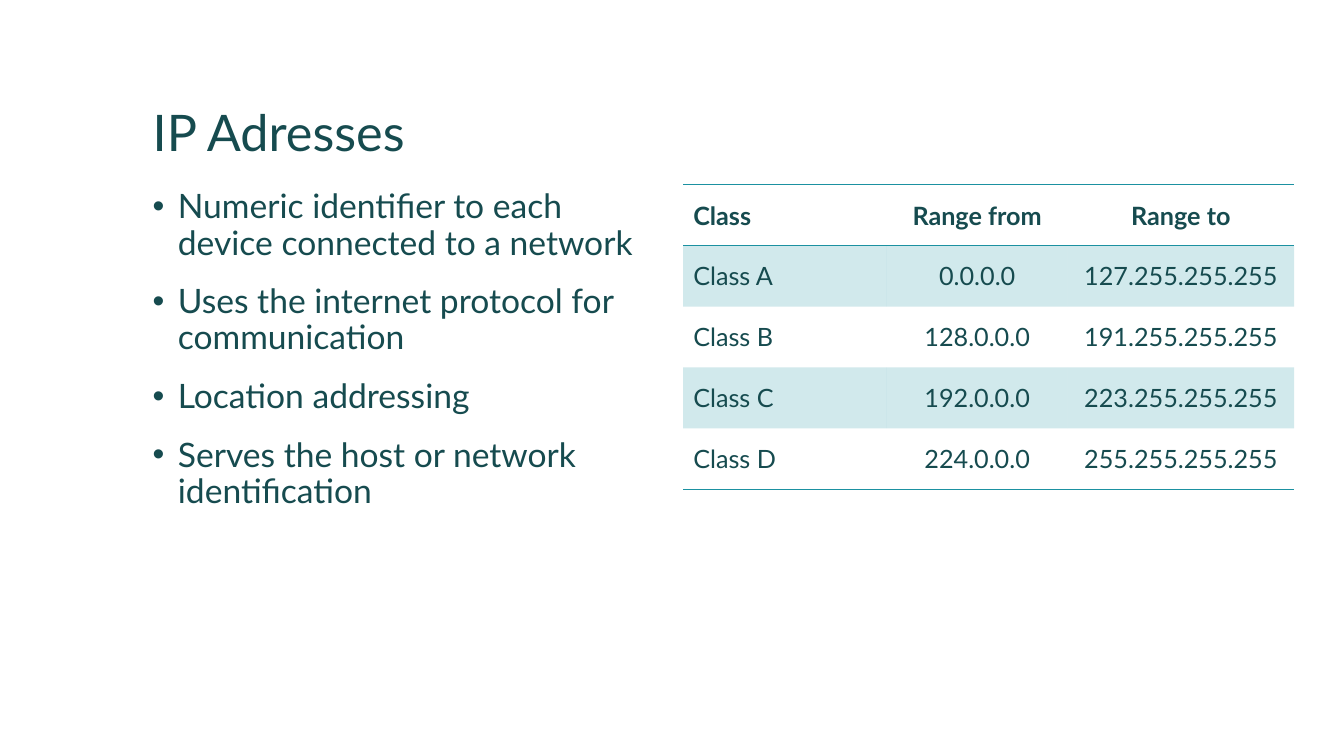
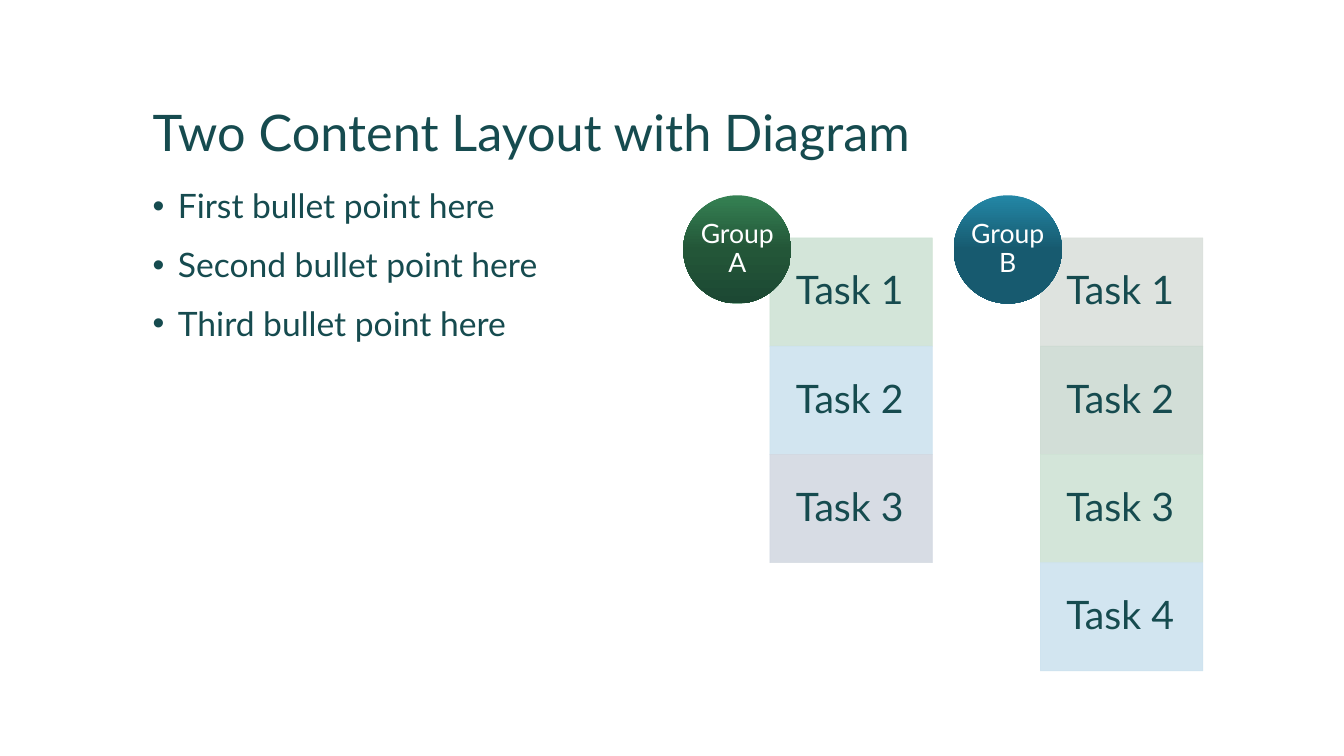
"""Builds two slides: IP address classes and two groups of tasks."""
from copy import deepcopy

from lxml.etree import SubElement
from pptx import Presentation
from pptx.dml.color import RGBColor
from pptx.enum.shapes import MSO_SHAPE as Shape
from pptx.enum.text import MSO_ANCHOR as Anchor, PP_ALIGN as Align
from pptx.oxml.ns import qn
from pptx.util import Pt

FONT = "Lato"
INK = RGBColor(0x16, 0x4B, 0x4F)
TEAL = RGBColor(0x1B, 0x91, 0xA1)
WHITE = RGBColor(0xFF, 0xFF, 0xFF)
MINT = RGBColor(0xCF, 0xE3, 0xD5)
SKY = RGBColor(0xCE, 0xE3, 0xEF)
LAVENDER = RGBColor(0xD3, 0xD9, 0xE2)
MIST = RGBColor(0xDB, 0xE1, 0xDC)
SAGE = RGBColor(0xCE, 0xDB, 0xD3)
GREENS = [RGBColor(0x35, 0x81, 0x53), RGBColor(0x23, 0x56, 0x38), RGBColor(0x1C, 0x48, 0x33)]
BLUES = [RGBColor(0x23, 0x87, 0xA6), RGBColor(0x17, 0x5A, 0x6F), RGBColor(0x17, 0x5A, 0x6F)]
NO_STYLE = "{2D5ABB26-0587-4C30-8999-92F81FD0307C}"


def write(frame, lines, size, color=INK, align=Align.LEFT, spacing=0.9):
    """Fill a text frame with one paragraph per line."""
    frame.word_wrap = True
    frame.text = "\n".join(lines)
    for paragraph in frame.paragraphs:
        paragraph.alignment = align
        paragraph.line_spacing = spacing
        paragraph.font.name = FONT
        paragraph.font.size = Pt(size)
        paragraph.font.color.rgb = color


def set_opacity(properties, percent):
    """Make every colour of a shape or cell partly transparent."""
    for color in properties.iter(qn("a:srgbClr")):
        SubElement(color, qn("a:alpha"), val=str(percent * 1000))


deck = Presentation()
deck.slide_width, deck.slide_height = Pt(960), Pt(540)

contents = {
    "IP Adresses": [
        "Numeric identifier to each device connected to a network",
        "Uses the internet protocol for communication",
        "Location addressing",
        "Serves the host or network identification",
    ],
    "Two Content Layout with Diagram": [
        "First bullet point here",
        "Second bullet point here",
        "Third bullet point here",
    ],
}
for heading, points in contents.items():
    slide = deck.slides.add_slide(deck.slide_layouts[6])
    title = slide.shapes.add_textbox(Pt(102), Pt(29.5), Pt(756), Pt(90)).text_frame
    title.vertical_anchor = Anchor.BOTTOM
    write(title, [heading], 36)
    body = slide.shapes.add_textbox(Pt(102), Pt(132), Pt(370), Pt(354)).text_frame
    write(body, points, 24)
    for paragraph in body.paragraphs:
        paragraph.space_before = Pt(16)
        bullet = paragraph._p.get_or_add_pPr()
        bullet.set("marL", str(Pt(18)))
        bullet.set("indent", str(-Pt(18)))
        SubElement(bullet, qn("a:buFont"), typeface="Arial")
        SubElement(bullet, qn("a:buChar"), char="•")

address_slide, task_slide = deck.slides

address_rows = [
    ("Class", "Range from", "Range to"),
    ("Class A", "0.0.0.0", "127.255.255.255"),
    ("Class B", "128.0.0.0", "191.255.255.255"),
    ("Class C", "192.0.0.0", "223.255.255.255"),
    ("Class D", "224.0.0.0", "255.255.255.255"),
]
ruled_edges = {0: ("a:lnT", "a:lnB"), len(address_rows) - 1: ("a:lnB",)}
classes = address_slide.shapes.add_table(
    len(address_rows), 3, Pt(488), Pt(132), Pt(436.5), Pt(217.5)).table
classes._tbl.tblPr.find(qn("a:tableStyleId")).text = NO_STYLE
classes.horz_banding = False
for column, width in zip(classes.columns, (145.5, 129, 162)):
    column.width = Pt(width)
for r, values in enumerate(address_rows):
    classes.rows[r].height = Pt(43.5)
    for c, value in enumerate(values):
        cell = classes.cell(r, c)
        cell.vertical_anchor = Anchor.MIDDLE
        write(cell.text_frame, [value], 18, align=Align.CENTER if c else Align.LEFT, spacing=1.0)
        cell.text_frame.paragraphs[0].font.bold = r == 0
        cell_properties = cell._tc.get_or_add_tcPr()
        for edge in ruled_edges.get(r, ()):
            rule = SubElement(cell_properties, qn(edge), w=str(Pt(1)))
            SubElement(SubElement(rule, qn("a:solidFill")), qn("a:srgbClr"), val=str(TEAL))
        if r % 2:
            cell.fill.solid()
            cell.fill.fore_color.rgb = TEAL
            set_opacity(cell_properties, 20)
        else:
            cell.fill.background()

groups = [
    ("Group A", GREENS, [MINT, SKY, LAVENDER]),
    ("Group B", BLUES, [MIST, SAGE, MINT, SKY]),
]
STEP = 77.3
for g, (group_name, shades, task_colors) in enumerate(groups):
    left = 488 + 193.2 * g
    for t, task_color in enumerate(task_colors):
        task = task_slide.shapes.add_shape(
            Shape.RECTANGLE, Pt(left + 62), Pt(170 + STEP * t), Pt(116), Pt(STEP))
        task.shadow.inherit = False
        task.fill.solid()
        task.fill.fore_color.rgb = task_color
        task.line.color.rgb = task_color
        task.line.width = Pt(0.5)
        set_opacity(task._element.spPr, 90)
        label = task.text_frame
        label.margin_left = Pt(18.5)
        label.margin_right = label.margin_top = label.margin_bottom = Pt(16)
        label.vertical_anchor = Anchor.MIDDLE
        write(label, [f"Task {t + 1}"], 28)

    badge = task_slide.shapes.add_shape(
        Shape.OVAL, Pt(left), Pt(139.5), Pt(STEP), Pt(STEP))
    badge.shadow.inherit = False
    badge.line.fill.background()
    badge.fill.gradient()
    badge.fill.gradient_angle = 270
    stop_list = badge._element.spPr.find(".//" + qn("a:gsLst"))
    stop_list.append(deepcopy(stop_list[0]))
    for stop, position, shade in zip(badge.fill.gradient_stops, (0, 0.5, 1), shades):
        stop.position = position
        stop.color.rgb = shade
    caption = badge.text_frame
    caption.margin_left = caption.margin_right = caption.margin_top = caption.margin_bottom = 0
    caption.vertical_anchor = Anchor.MIDDLE
    write(caption, [group_name], 19, WHITE, Align.CENTER)

deck.save("out.pptx")
